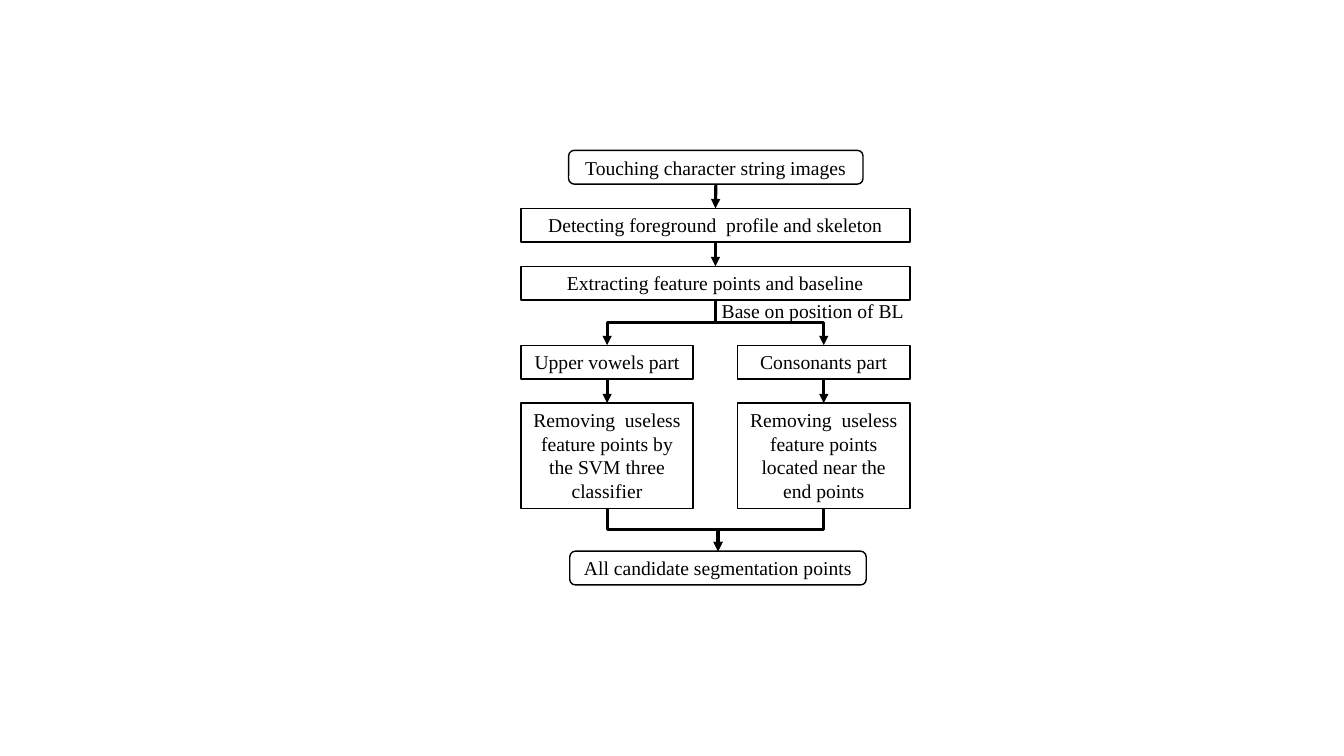
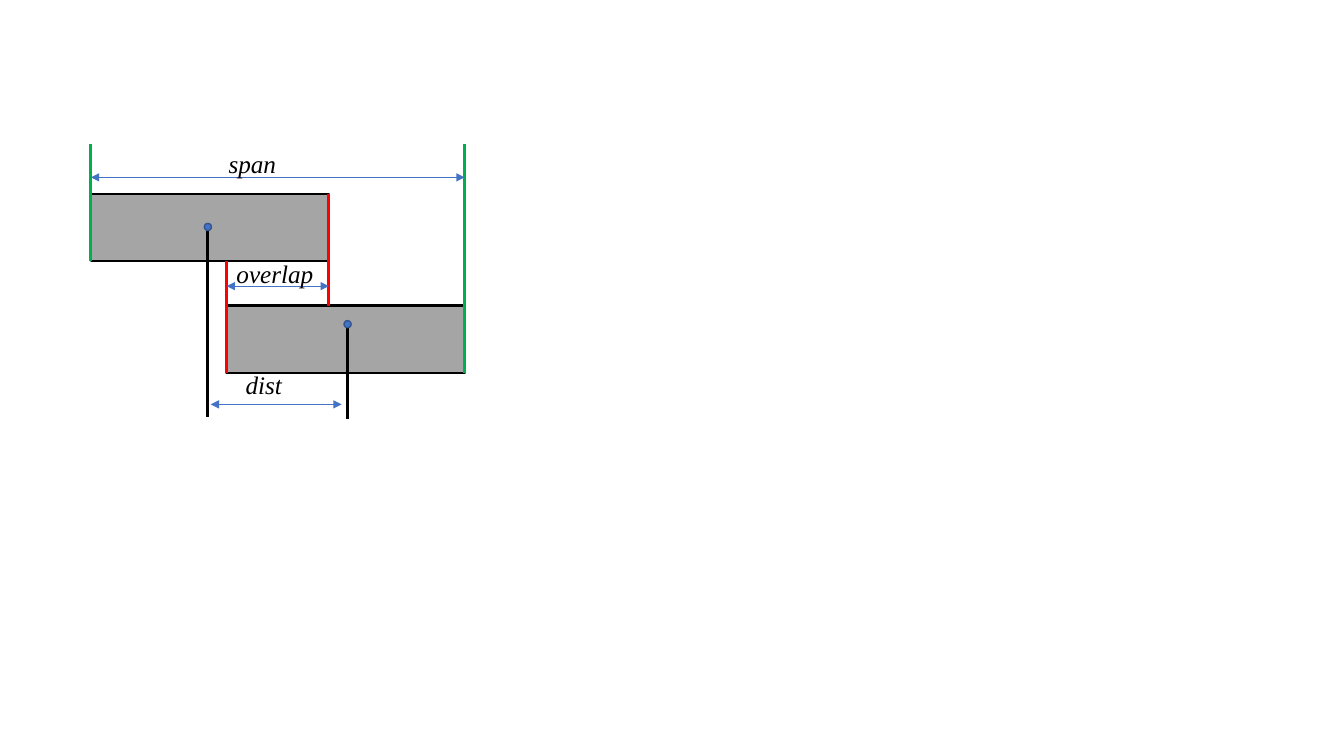
from dataclasses import dataclass

from lxml import etree
from pptx import Presentation
from pptx.dml.color import RGBColor
from pptx.enum.shapes import MSO_CONNECTOR, MSO_SHAPE
from pptx.enum.text import MSO_ANCHOR, MSO_AUTO_SIZE, PP_ALIGN
from pptx.oxml.ns import qn
from pptx.util import Cm, Pt

RECT, ROUND, OVAL = MSO_SHAPE.RECTANGLE, MSO_SHAPE.ROUNDED_RECTANGLE, MSO_SHAPE.OVAL
STRAIGHT, ELBOW = MSO_CONNECTOR.STRAIGHT, MSO_CONNECTOR.ELBOW
TOP, MIDDLE = MSO_ANCHOR.TOP, MSO_ANCHOR.MIDDLE
LEFT, CENTER = PP_ALIGN.LEFT, PP_ALIGN.CENTER
TOP_SITE, BOTTOM_SITE = 0, 2


@dataclass(frozen=True)
class Theme:
    black: str = "000000"
    white: str = "FFFFFF"
    gray: str = "A5A5A5"
    red: str = "FF0000"
    green: str = "00B050"
    blue: str = "4472C4"
    navy: str = "325491"
    font: str = "Times New Roman"
    step_size: float = 14
    measure_size: float = 18
    thin: float = 0.5
    outline: float = 1
    bar_outline: float = 1.5
    thick: float = 2.25


T = Theme()

# Flowchart content (lengths in cm): key, text, row, left, width, shape
STEPS = [
    ("input", "Touching character string images", 0, 14.33, 7.42, ROUND),
    ("detect", "Detecting foreground  profile and skeleton", 1, 13.13, 9.8, RECT),
    ("extract", "Extracting feature points and baseline", 2, 13.13, 9.8, RECT),
    ("vowels", "Upper vowels part", 3, 13.13, 4.34, RECT),
    ("consonants", "Consonants part", 3, 18.59, 4.34, RECT),
    ("svm", "Removing  useless feature points by the SVM three classifier",
     4, 13.13, 4.34, RECT),
    ("ends", "Removing  useless feature points located near the end points",
     4, 18.59, 4.34, RECT),
    ("output", "All candidate segmentation points", 5, 14.36, 7.47, ROUND),
]
ROW_HEIGHTS = [0.85, 0.85, 0.85, 0.85, 2.65, 0.85]
ROW_GAPS = [0.61, 0.61, 1.14, 0.61, 1.08]
FIRST_TOP = 3.79
FLOWS = [("input", "detect"), ("detect", "extract"),
         ("vowels", "svm"), ("consonants", "ends")]
BRANCHES = [("extract", "vowels"), ("extract", "consonants"),
            ("svm", "output"), ("ends", "output")]
BRANCH_LABEL = ("Base on position of BL", (16.99, 7.4, 6.99, 0.85))

# Measure diagram content (cm)
BAR_W, BAR_H = 6, 1.69
BAR_1, BAR_2 = (2.29, 4.88), (5.71, 7.7)
DOT = 0.18
CENTERS = [(5.24, 5.72, 10.52), (8.76, 8.17, 10.57)]  # x, y, foot of the drop line
GUIDE_TOP = 3.63
MEASURES = [  # text, text left, text top, arrow from x, arrow to x, arrow y
    ("overlap", 5.71, 6.38, BAR_2[0], BAR_1[0] + BAR_W, 7.21),
    ("span", 5.51, 3.61, BAR_1[0], BAR_2[0] + BAR_W, 4.47),
    ("dist", 5.94, 9.19, 5.31, 8.61, 10.19),
]


# Shared helpers
def apply(obj, fmt):
    for name, value in fmt.items():
        setattr(obj, name, value)


def write(sp, text, size, align=CENTER, anchor=TOP, italic=False, grow=True):
    tf = sp.text_frame
    apply(tf, {"word_wrap": True, "vertical_anchor": anchor,
               "auto_size": MSO_AUTO_SIZE.SHAPE_TO_FIT_TEXT if grow
               else MSO_AUTO_SIZE.NONE})
    p = tf.paragraphs[0]
    p.alignment = align
    r = p.add_run()
    r.text = text
    apply(r.font, {"name": T.font, "size": Pt(size), "italic": italic})
    r.font.color.rgb = RGBColor.from_string(T.black)


def add_box(slide, kind, box, fill=None, line=T.black, width=T.outline):
    sp = slide.shapes.add_shape(kind, *map(Cm, box))
    sp.shadow.inherit = False
    if fill:
        sp.fill.solid()
        sp.fill.fore_color.rgb = RGBColor.from_string(fill)
    else:
        sp.fill.background()
    sp.line.color.rgb = RGBColor.from_string(line)
    sp.line.width = Pt(width)
    return sp


def add_label(slide, text, box, size, **fmt):
    write(slide.shapes.add_textbox(*map(Cm, box)), text, size, **fmt)


def add_line(slide, points=(0, 0, 0, 0), color=T.black, width=T.thick,
             kind=STRAIGHT, arrows=()):
    cx = slide.shapes.add_connector(kind, *map(Cm, points))
    cx.line.color.rgb = RGBColor.from_string(color)
    cx.line.width = Pt(width)
    ln = cx.line._get_or_add_ln()
    for end in arrows:
        etree.SubElement(ln, qn(f"a:{end}"), type="triangle")
    etree.SubElement(cx._element.spPr, qn("a:effectLst"))
    return cx


def join(slide, upper, lower, kind=STRAIGHT):
    cx = add_line(slide, kind=kind, arrows=["tailEnd"])
    cx.begin_connect(upper, BOTTOM_SITE)
    cx.end_connect(lower, TOP_SITE)
    if kind == ELBOW:
        turn_down(cx)


def turn_down(cx):
    """Rotate an elbow so that it leaves and arrives vertically."""
    x1, y1, x2, y2 = cx.begin_x, cx.begin_y, cx.end_x, cx.end_y
    run, drop = abs(x2 - x1), y2 - y1
    apply(cx, {"left": (x1 + x2 - drop) // 2, "top": (y1 + y2 - run) // 2,
               "width": drop, "height": run})
    xfrm = cx._element.spPr.find(qn("a:xfrm"))
    for name in ("flipH", "flipV"):
        xfrm.attrib.pop(name, None)
    if x2 > x1:
        xfrm.set("flipH", "1")
    xfrm.set("rot", str((270 if x2 > x1 else 90) * 60000))


# Slides
def build_flowchart(slide):
    tops = [FIRST_TOP]
    for height, gap in zip(ROW_HEIGHTS, ROW_GAPS):
        tops.append(tops[-1] + height + gap)
    boxes = {}
    for key, text, row, left, width, kind in STEPS:
        rounded = kind == ROUND
        sp = add_box(slide, kind, (left, tops[row], width, ROW_HEIGHTS[row]),
                     fill=T.white if rounded else None)
        write(sp, text, T.step_size, anchor=MIDDLE if rounded else TOP,
              grow=not rounded)
        boxes[key] = sp
    for kind, links in ((STRAIGHT, FLOWS), (ELBOW, BRANCHES)):
        for upper, lower in links:
            join(slide, boxes[upper], boxes[lower], kind)
    add_label(slide, *BRANCH_LABEL, T.step_size)


def build_measures(slide):
    (left_1, top_1), (left_2, top_2) = BAR_1, BAR_2
    right_1, right_2 = left_1 + BAR_W, left_2 + BAR_W
    bottom_1, bottom_2 = top_1 + BAR_H, top_2 + BAR_H
    for left, top in (BAR_1, BAR_2):
        add_box(slide, RECT, (left, top, BAR_W, BAR_H), T.gray,
                width=T.bar_outline)
    # Edge guides
    for x, top, bottom, color in (
            (right_1, top_1, top_2, T.red), (left_2, bottom_1, bottom_2, T.red),
            (left_1, GUIDE_TOP, bottom_1, T.green),
            (right_2, GUIDE_TOP, bottom_2, T.green)):
        add_line(slide, (x, top, x, bottom), color)
    # Measured lengths
    for text, left, top, x1, x2, y in MEASURES:
        add_line(slide, (x1, y, x2, y), T.blue, T.thin,
                 arrows=["headEnd", "tailEnd"])
        add_label(slide, text, (left, top, 3, 1.02), T.measure_size,
                  align=LEFT, italic=True)
    # Bar centres
    for x, y, foot in CENTERS:
        add_line(slide, (x, y, x, foot))
        add_box(slide, OVAL, (x - DOT / 2, y - DOT / 2, DOT, DOT),
                T.blue, T.navy)


def main():
    prs = Presentation()
    apply(prs, {"slide_width": Cm(33.87), "slide_height": Cm(19.05)})
    for build in (build_flowchart, build_measures):
        build(prs.slides.add_slide(prs.slide_layouts[6]))
    prs.save("out.pptx")


if __name__ == "__main__":
    main()
